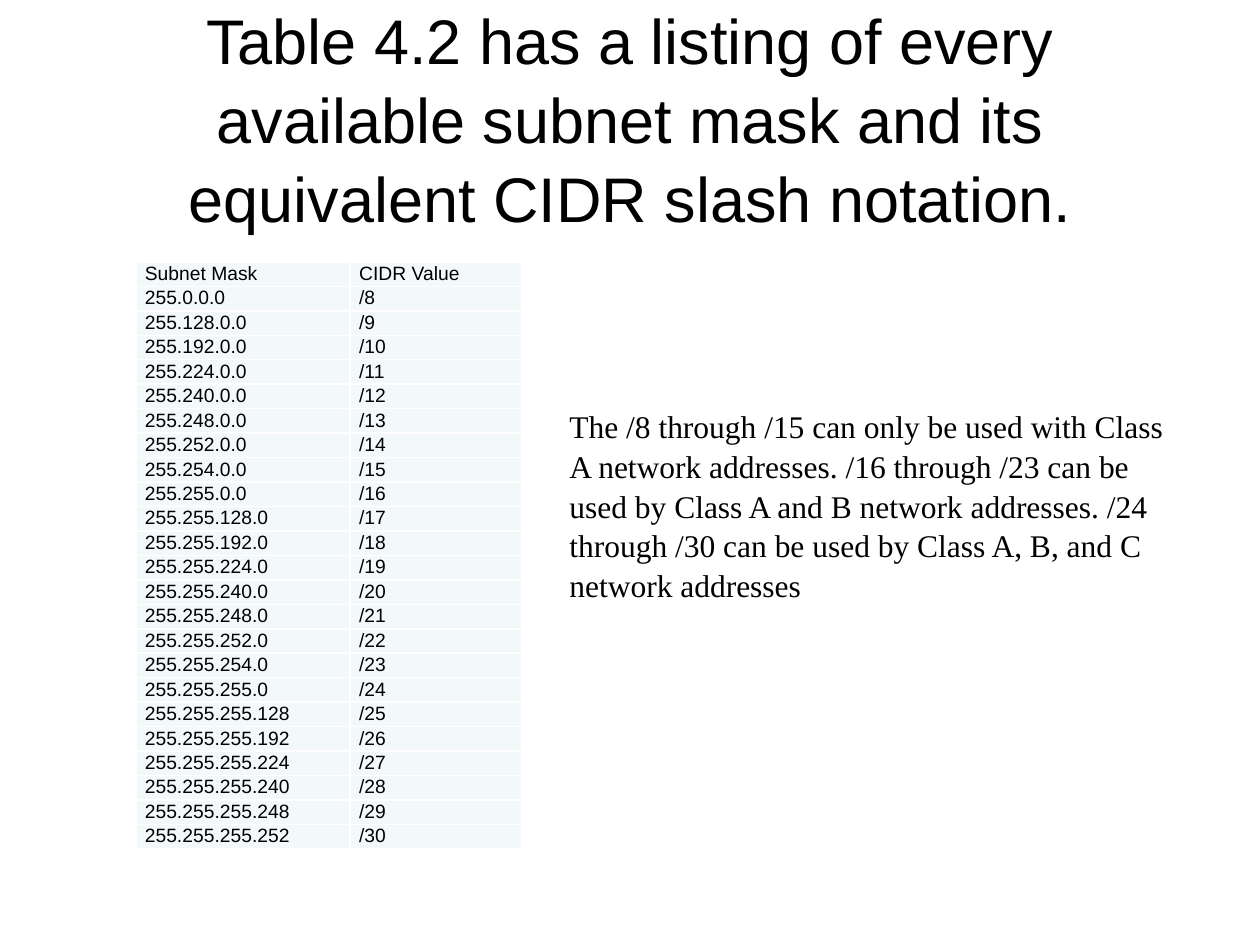
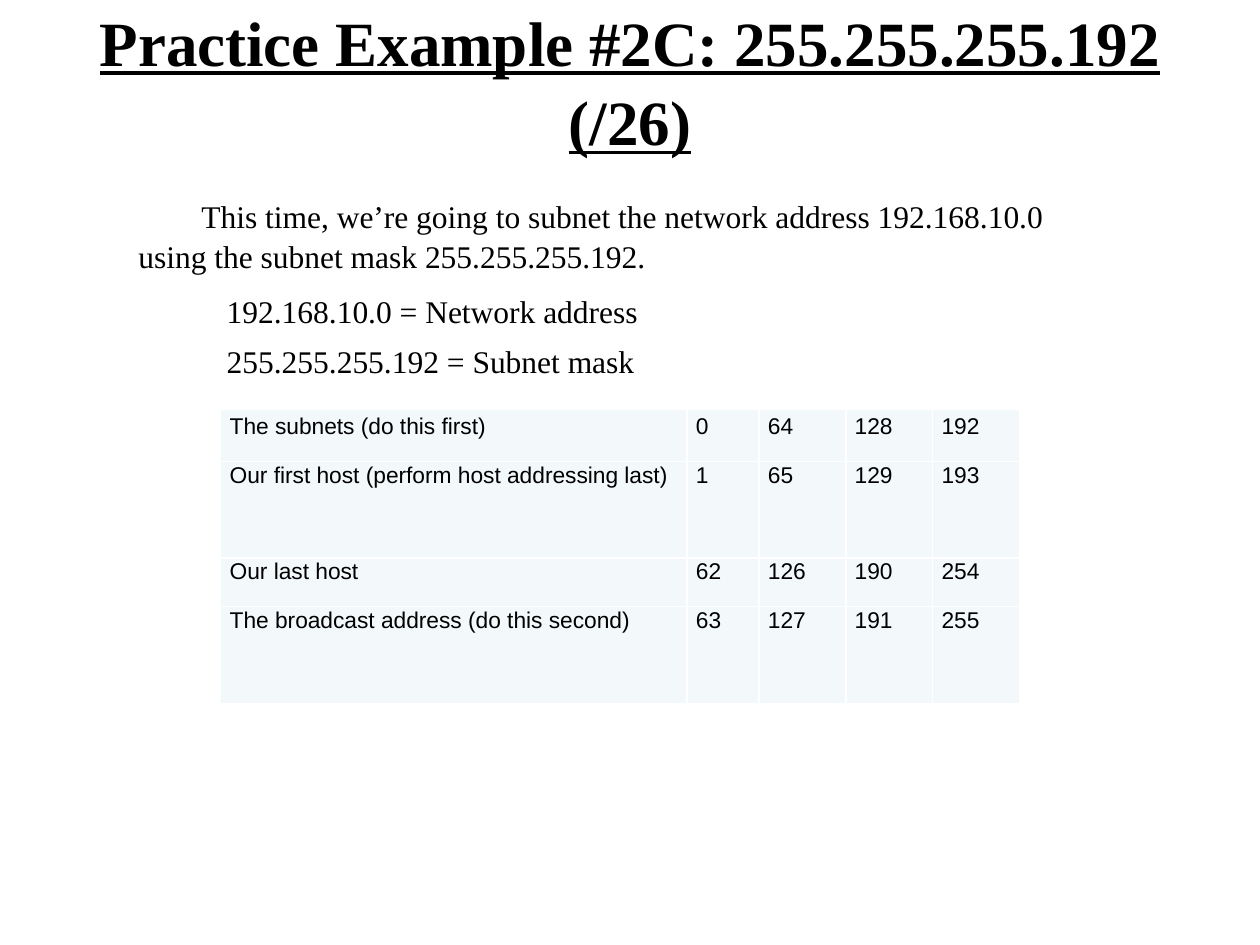
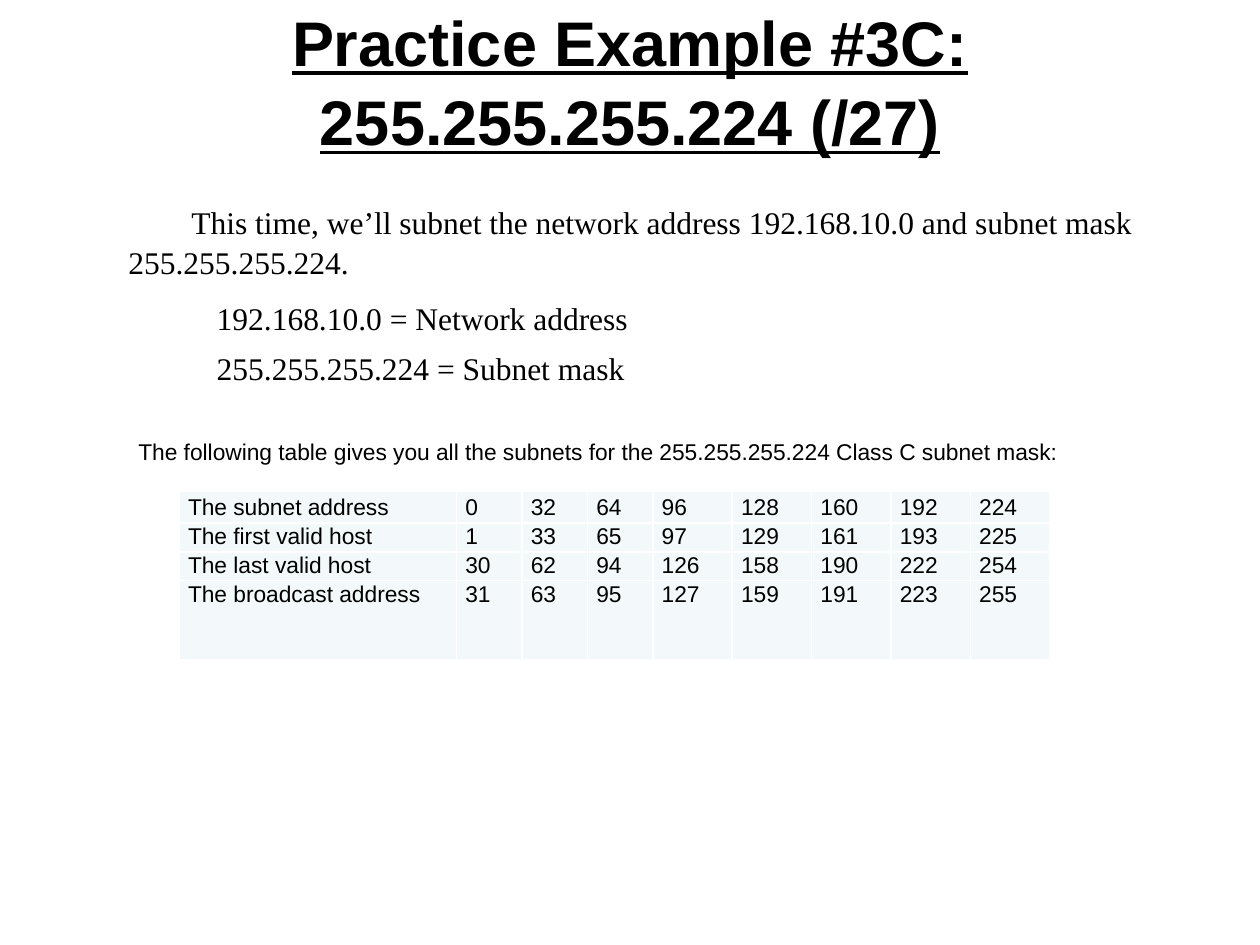
import lxml.etree
import pptx
import pptx.dml.color
import pptx.enum.text
import pptx.oxml.ns
import pptx.util

Cm = pptx.util.Cm
Pt = pptx.util.Pt
colour = pptx.dml.color.RGBColor.from_string

INK = "000000"
CELL_FILL = "F3F9FA"
RULE = "FFFFFF"
SANS = "Arial"
SERIF = "Times New Roman"
LINE_SPACING = 1.05
TITLE_LINE = 1.52  # height of one title line, cm


def write(frame, texts, size, font):
    """Write one paragraph per text into a text frame."""
    frame.word_wrap = True
    for index, text in enumerate(texts):
        para = frame.paragraphs[0] if index == 0 else frame.add_paragraph()
        para.line_spacing = LINE_SPACING
        span = para.add_run()
        span.text = text
        span.font.size = Pt(size)
        span.font.name = font
        span.font.color.rgb = colour(INK)
    return frame


def draw_table(page, left, top, widths, heights, rows, size, head_spacing):
    """Draw a tinted table with white rules; lengths in cm."""
    table = page.shapes.add_table(
        len(rows), len(widths), Cm(left), Cm(top), Cm(sum(widths)), Cm(sum(heights))
    ).table
    table.first_row = False
    table.horz_banding = False
    for column, width in zip(table.columns, widths):
        column.width = Cm(width)
    for row_index, values in enumerate(rows):
        table.rows[row_index].height = Cm(heights[row_index])
        for column_index, value in enumerate(values):
            cell = table.cell(row_index, column_index)
            cell.margin_left = cell.margin_right = Cm(0.18)
            cell.margin_top = cell.margin_bottom = 0
            cell.fill.solid()
            cell.fill.fore_color.rgb = colour(CELL_FILL)
            frame = write(cell.text_frame, [str(value)], size, SANS)
            if row_index == 0:
                frame.paragraphs[0].line_spacing = head_spacing
            # Borders come before the fill in the cell properties
            properties = cell._tc.get_or_add_tcPr()
            for position, side in enumerate(("a:lnL", "a:lnR", "a:lnT", "a:lnB")):
                line = lxml.etree.Element(pptx.oxml.ns.qn(side), w=str(Pt(1)))
                solid = lxml.etree.SubElement(line, pptx.oxml.ns.qn("a:solidFill"))
                lxml.etree.SubElement(solid, pptx.oxml.ns.qn("a:srgbClr"), val=RULE)
                properties.insert(position, line)


deck = pptx.Presentation()
deck.slide_width = Cm(25.4)
deck.slide_height = Cm(19.05)

# Pages and titles: text, font, emphasis, room kept free below
titles = [
    ("Table 4.2 has a listing of every available subnet mask and its "
     "equivalent CIDR slash notation.", SANS, False, 0),
    ("Practice Example #2C: 255.255.255.192 (/26)", SERIF, True, TITLE_LINE),
    ("Practice Example #3C: 255.255.255.224 (/27)", SANS, True, TITLE_LINE),
]
pages = []
for title, font, emphasis, room in titles:
    page = deck.slides.add_slide(deck.slide_layouts[6])
    box = page.shapes.add_textbox(Cm(1.27), Cm(0.76), Cm(22.86), Cm(3.18))
    frame = write(box.text_frame, [title], 36, font)
    frame.vertical_anchor = pptx.enum.text.MSO_ANCHOR.MIDDLE
    frame.margin_bottom = Cm(0.13 + room)
    para = frame.paragraphs[0]
    para.alignment = pptx.enum.text.PP_ALIGN.CENTER
    if emphasis:
        para.runs[0].font.bold = True
        para.runs[0].font.underline = True
    pages.append(page)
mask_page, quarter_page, eighth_page = pages

# Mask listing: /8 to /30
mask_rows = [("Subnet Mask", "CIDR Value")]
for prefix in range(8, 31):
    octets = [256 - 2 ** (8 - min(max(prefix - start, 0), 8)) for start in (0, 8, 16, 24)]
    mask_rows.append((".".join(map(str, octets)), f"/{prefix}"))
mask_heights = [11.84 / len(mask_rows)] * len(mask_rows)
draw_table(mask_page, 2.74, 5.28, [4.32, 3.45], mask_heights, mask_rows, 11, LINE_SPACING)

# Note on address classes
box = mask_page.shapes.add_textbox(Cm(11.23), Cm(8.05), Cm(12.7), Cm(4.11))
write(box.text_frame, [
    "The /8 through /15 can only be used with Class A network addresses. "
    "/16 through /23 can be used by Class A and B network addresses. "
    "/24 through /30 can be used by Class A, B, and C network addresses"
], 18, SERIF)

# Introductions of the two examples
introductions = [
    (quarter_page, 1.27, 3.81, 21.16, "255.255.255.192",
     "This time, we’re going to subnet the network address 192.168.10.0 "
     "using the subnet mask 255.255.255.192."),
    (eighth_page, 1.07, 3.94, 23.7, "255.255.255.224",
     "This time, we’ll subnet the network address 192.168.10.0 "
     "and subnet mask 255.255.255.224."),
]
for page, left, top, width, mask, opening in introductions:
    box = page.shapes.add_textbox(Cm(left), Cm(top), Cm(width), Cm(3.87))
    texts = [opening, "192.168.10.0 = Network address", f"{mask} = Subnet mask"]
    frame = write(box.text_frame, texts, 18, SERIF)
    for index, para in enumerate(frame.paragraphs):
        indents = para._p.get_or_add_pPr()
        indents.set("marL", str(Cm(3.05 if index else 1.27)))
        indents.set("indent", str(Cm(0 if index else 1.27)))
        para.space_before = Pt(3 if index else 0)
        para.space_after = Pt(3 if index else 6)

# Caption of the last table
box = eighth_page.shapes.add_textbox(Cm(1.27), Cm(8.46), Cm(24.13), Cm(1.27))
frame = write(box.text_frame, [
    "The following table gives you all the subnets for the 255.255.255.224 "
    "Class C subnet mask:"
], 13, SANS)
frame.vertical_anchor = pptx.enum.text.MSO_ANCHOR.MIDDLE
frame.paragraphs[0]._p.get_or_add_pPr().set("indent", str(Cm(1.27)))

# Subnet tables: every value follows from the block size.
# Labels stand in the order subnet, first host, last host, broadcast.
subnet_tables = [
    (quarter_page, 4.45, 8.26, 64, [9.4, 1.45] + [1.75] * 3, [1.04, 1.95, 0.98, 1.95],
     ["The subnets (do this first)", "Our first host (perform host addressing last)",
      "Our last host", "The broadcast address (do this second)"]),
    (eighth_page, 3.61, 9.91, 32, [5.59] + [1.32] * 3 + [1.6] * 5, [0.61, 0.55, 0.55, 1.6],
     ["The subnet address", "The first valid host",
      "The last valid host", "The broadcast address"]),
]
for page, left, top, block, widths, heights, labels in subnet_tables:
    offsets = (0, 1, block - 2, block - 1)
    rows = [
        [label] + [subnet + offset for subnet in range(0, 256, block)]
        for label, offset in zip(labels, offsets)
    ]
    draw_table(page, left, top, widths, heights, rows, 13, 1.15)

deck.save("out.pptx")
